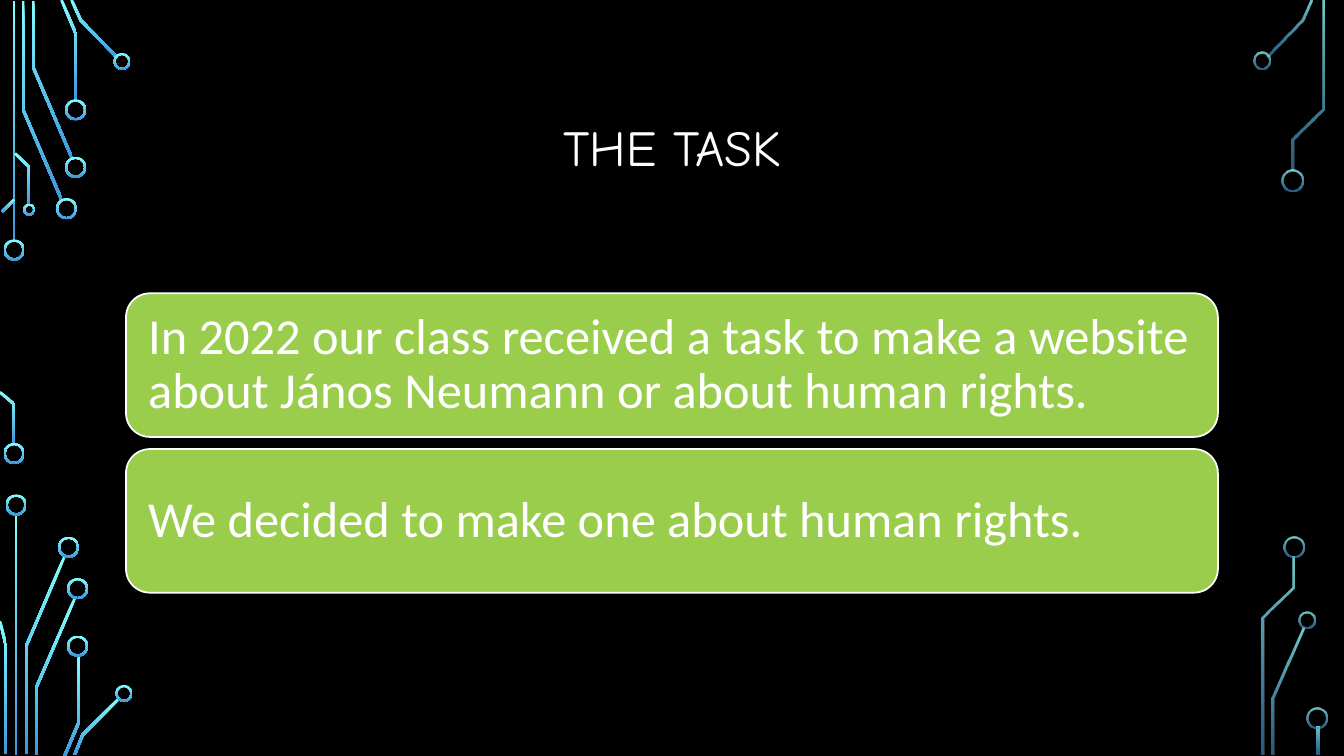
import math
from dataclasses import dataclass
from lxml import etree
from pptx import Presentation
from pptx import util as u
from pptx.dml.color import RGBColor
from pptx.enum import shapes, text
from pptx.oxml import ns


@dataclass(frozen=True)
class Theme:
    back: str = "000000"
    ink: str = "FFFFFF"
    card: str = "9ACD4C"
    trace: tuple = ("82FFFF", "3D97DE")
    title_font: str = "Comic Neue"
    body_font: str = "Calibri"
    size: int = 36
    border: float = 1.25


THEME = Theme()
TRACE_WIDTH = 0.026
RING_WIDTH = 0.02

# Circuit centre lines and rings (centre x, centre y, diameter), relative to their strip
LEFT_TRACES = [
    [(0.14, 0.01), (0.14, 2.4)],
    [(0.23, 0.01), (0.23, 1.09), (0.61, 1.98)],
    [(0.33, 0.01), (0.33, 0.67), (0.71, 1.56)],
    [(0.61, 0), (0.75, 0.33), (0.75, 1)],
    [(0.71, 0), (0.8, 0.2), (1.16, 0.57)],
    [(0.02, 2.1), (0.14, 1.98)],
    [(0, 3.89), (0.14, 4.01), (0.14, 4.41)],
    [(0.15, 1.52), (0.29, 1.66), (0.29, 2.03)],
    [(0.16, 5.1), (0.16, 7.49)],
    [(0.26, 7.48), (0.26, 6.41), (0.64, 5.52)],
    [(0, 6.16), (0.06, 6.41), (0.06, 7.48)],
    [(0.36, 7.49), (0.36, 6.82), (0.74, 5.94)],
    [(0.64, 7.5), (0.78, 7.17), (0.78, 6.5)],
    [(0.74, 7.49), (0.82, 7.29), (1.18, 6.93)],
]
LEFT_RINGS = [
    (0.14, 2.48, 0.21), (0.14, 4.5, 0.21), (0.66, 2.07, 0.21), (0.75, 1.66, 0.21),
    (0.75, 1.09, 0.21), (1.21, 0.61, 0.17), (0.29, 2.08, 0.12), (0.16, 5.01, 0.21),
    (0.68, 5.43, 0.21), (0.77, 5.84, 0.21), (0.77, 6.41, 0.21), (1.23, 6.88, 0.17),
]
RIGHT_TRACES = [
    [(0.17, 0.56), (0.52, 0.2), (0.61, 0)],
    [(0.22, 7.49), (0.22, 6.93), (0.53, 6.23)],
    [(0.42, 1.69), (0.42, 1.38), (0.72, 1.08), (0.72, 0.01)],
    [(0.12, 7.49), (0.12, 6.13), (0.43, 5.83), (0.43, 5.52)],
    [(0.67, 7.21), (0.67, 7.49)],
]
RIGHT_RINGS = [
    (0.12, 0.6, 0.17), (0.42, 1.79, 0.21), (0.56, 6.15, 0.17),
    (0.43, 5.43, 0.21), (0.66, 7.12, 0.21),
]


def apply(obj, formats):
    for name, value in formats.items():
        setattr(obj, name, value)


def place(sp, box):
    apply(sp, dict(zip(("left", "top", "width", "height"), map(u.Inches, box))))


def write(tf, words, font, align):
    apply(tf, {"word_wrap": True, "auto_size": text.MSO_AUTO_SIZE.NONE,
               "vertical_anchor": text.MSO_ANCHOR.MIDDLE})
    p = tf.paragraphs[0]
    apply(p, {"alignment": align, "line_spacing": 0.9})
    r = p.add_run()
    r.text = words
    apply(r.font, {"name": font, "size": u.Pt(THEME.size), "bold": False})
    r.font.color.rgb = RGBColor.from_string(THEME.ink)


def glow(sp, opacity):
    """Vertical gradient without outline; opacity in percent for each stop."""
    sp.shadow.inherit = False
    sp.line.fill.background()
    sp.fill.gradient()
    sp.fill.gradient_angle = 270
    for stop, colour, place_at in zip(sp.fill.gradient_stops, THEME.trace, (0, 1)):
        stop.color.rgb = RGBColor.from_string(colour)
        stop.position = place_at
    if opacity:
        colours = sp._element.spPr.iter(ns.qn("a:srgbClr"))
        for clr, percent in zip(colours, opacity):
            etree.SubElement(clr, ns.qn("a:alpha")).set("val", str(percent * 1000))


def ribbon(points):
    """Outline of a mitred band around a centre line."""
    normals = []
    for (x0, y0), (x1, y1) in zip(points, points[1:]):
        length = math.hypot(x1 - x0, y1 - y0)
        normals.append(((y0 - y1) / length, (x1 - x0) / length))
    near, far = [], []
    pairs = zip(points, normals[:1] + normals, normals + normals[-1:])
    for (x, y), (ax, ay), (bx, by) in pairs:
        k = TRACE_WIDTH / 2 / (1 + ax * bx + ay * by)
        dx, dy = k * (ax + bx), k * (ay + by)
        near.append((x + dx, y + dy))
        far.append((x - dx, y - dy))
    return near + far[::-1]


def circuit_strip(s, box, traces, rings, opacity=None):
    left, top = box[:2]
    for trace in traces:
        outline = [(u.Inches(left + x), u.Inches(top + y)) for x, y in ribbon(trace)]
        builder = s.shapes.build_freeform(*outline[0])
        builder.add_line_segments(outline[1:], close=True)
        glow(builder.convert_to_shape(), opacity)
    for x, y, d in rings:
        ring_box = (left + x - d / 2, top + y - d / 2, d, d)
        sp = s.shapes.add_shape(shapes.MSO_SHAPE.DONUT, *map(u.Inches, ring_box))
        sp.adjustments[0] = RING_WIDTH / d
        glow(sp, opacity)


def heading(s, box, words):
    sp = s.shapes.title
    place(sp, box)
    write(sp.text_frame, words, THEME.title_font, text.PP_ALIGN.CENTER)


def card_stack(s, box, sentences, gap=0.12):
    left, top, width, height = box
    card_height = (height - gap * (len(sentences) - 1)) / len(sentences)
    for i, sentence in enumerate(sentences):
        card_box = (left, top + i * (card_height + gap), width, card_height)
        sp = s.shapes.add_shape(shapes.MSO_SHAPE.ROUNDED_RECTANGLE,
                                *map(u.Inches, card_box))
        sp.shadow.inherit = False
        sp.fill.solid()
        sp.fill.fore_color.rgb = RGBColor.from_string(THEME.card)
        sp.line.color.rgb = RGBColor.from_string(THEME.ink)
        sp.line.width = u.Pt(THEME.border)
        tf = sp.text_frame
        sides = ("left", "top", "right", "bottom")
        apply(tf, {f"margin_{side}": u.Inches(0.15) for side in sides})
        write(tf, sentence, THEME.body_font, text.PP_ALIGN.LEFT)


def task_slide(prs):
    s = prs.slides.add_slide(prs.slide_layouts[5])
    s.background.fill.solid()
    s.background.fill.fore_color.rgb = RGBColor.from_string(THEME.back)
    # Circuit decoration
    circuit_strip(s, (0, 0, 1.33, 7.5), LEFT_TRACES, LEFT_RINGS)
    circuit_strip(s, (12.4, 0, 0.93, 7.5), RIGHT_TRACES, RIGHT_RINGS, (80, 60))
    # Title and cards
    heading(s, (1.25, 0.68, 10.83, 1.62), "THE TASK")
    card_stack(s, (1.25, 2.91, 10.83, 2.97), [
        "In 2022 our class received a task to make a website "
        "about János Neumann or about human rights.",
        "We decided to make one about human rights.",
    ])


def main():
    prs = Presentation()
    apply(prs, {"slide_width": u.Inches(13.33), "slide_height": u.Inches(7.5)})
    task_slide(prs)
    prs.save("out.pptx")


if __name__ == "__main__":
    main()
